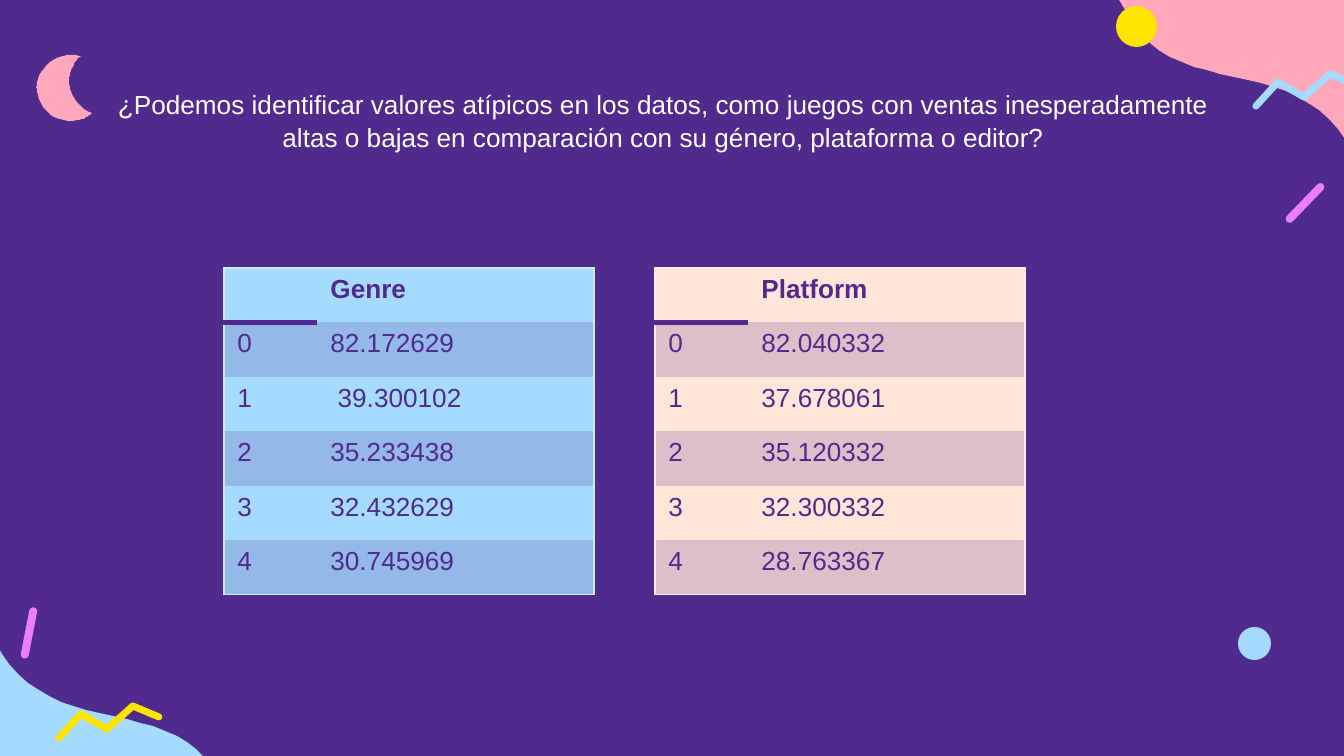
from lxml.etree import SubElement
from pptx import Presentation
from pptx.dml.color import RGBColor
from pptx.enum.shapes import MSO_SHAPE
from pptx.enum.text import MSO_ANCHOR, PP_ALIGN
from pptx.oxml import parse_xml
from pptx.oxml.ns import nsdecls, qn
from pptx.util import Emu, Pt

SCALE = 914400 / 134.4  # EMU per px
PURPLE = RGBColor(0x51, 0x2A, 0x8E)
PINK = RGBColor(0xFF, 0xA7, 0xBB)
BLUE = RGBColor(0xA5, 0xDB, 0xFF)
BLUE_BAND = RGBColor(0x94, 0xB8, 0xE8)
BLUE_EDGE = RGBColor(0xD2, 0xE9, 0xFA)
PEACH = RGBColor(0xFF, 0xE6, 0xD8)
PEACH_BAND = RGBColor(0xDC, 0xC0, 0xC9)
PEACH_EDGE = RGBColor(0xF9, 0xEF, 0xE7)
YELLOW = RGBColor(0xFF, 0xE4, 0x00)
VIOLET = RGBColor(0xEB, 0x7D, 0xFF)
WHITE = RGBColor(0xFF, 0xFF, 0xFF)
NO_GRID_STYLE = "{2D5ABB26-0587-4C30-8999-92F81FD0307C}"
CURVE_STEPS = 12


def px(*lengths):
    return [Emu(round(length * SCALE)) for length in lengths]


def write(frame, text, color, bold=False, align=PP_ALIGN.LEFT, spacing=None):
    para = frame.paragraphs[0]
    para.alignment = align
    para.line_spacing = spacing
    span = para.add_run()
    span.text = text
    span.font.name = "Arial"
    span.font.size = Pt(14)
    span.font.bold = bold
    span.font.color.rgb = color


deck = Presentation()
deck.slide_width, deck.slide_height = px(1344, 756)
slide = deck.slides.add_slide(deck.slide_layouts[6])
slide.background.fill.solid()
slide.background.fill.fore_color.rgb = PURPLE
shapes = slide.shapes

# Curved outlines: a start point, then Bezier segments of two controls and an end
corner = [(1438, 222),
          (1434, 280), (1407, 234), (1386, 214), (1364, 194), (1357, 130), (1308, 103),
          (1270, 75), (1198, 78), (1160, 51), (1122, 26), (1113, -31), (1082, -54),
          (1051, -77), (996, -75), (976, -87), (957, -99), (892, -121), (965, -129),
          (1039, -137), (1337, -192), (1417, -133), (1496, -75), (1443, 164), (1438, 222)]
opposite_corner = [(1347 - x, 793 - y) for x, y in corner]
moon = [(38, 79),
        (42, 69), (51, 58), (63, 56), (70, 54), (75, 55), (81, 56),
        (75, 60), (73, 67), (70, 73), (69, 78), (69, 83), (70, 89),
        (73, 99), (81, 109), (92, 113), (87, 117), (83, 120), (77, 120),
        (59, 124), (42, 113), (38, 95), (36, 90), (36, 85), (38, 79)]

for outline, color in ((corner, PINK), (opposite_corner, BLUE), (moon, PINK)):
    points = []
    for i in range(0, len(outline) - 1, 3):
        for step in range(1, CURVE_STEPS + 1):
            t = step / CURVE_STEPS
            weights = ((1 - t) ** 3, 3 * t * (1 - t) ** 2, 3 * t * t * (1 - t), t ** 3)
            points.append([sum(w * point[axis] for w, point in zip(weights, outline[i:i + 4]))
                           for axis in (0, 1)])
    builder = shapes.build_freeform(*outline[0], scale=SCALE)
    builder.add_line_segments(points, close=True)
    blob = builder.convert_to_shape()
    blob.shadow.inherit = False
    blob.fill.solid()
    blob.fill.fore_color.rgb = color
    blob.line.fill.background()

# Dots and tilted pills
for kind, left, top, width, height, turn, color in (
        (MSO_SHAPE.OVAL, 1116, 6, 41, 41, 0, YELLOW),
        (MSO_SHAPE.OVAL, 1238, 627, 33, 33, 0, BLUE),
        (MSO_SHAPE.ROUNDED_RECTANGLE, 25, 607, 8, 52, 11, VIOLET),
        (MSO_SHAPE.ROUNDED_RECTANGLE, 1301, 177, 8, 52, 44, VIOLET)):
    mark = shapes.add_shape(kind, *px(left, top, width, height))
    if kind == MSO_SHAPE.ROUNDED_RECTANGLE:
        mark.adjustments[0] = 0.5
    mark.rotation = turn
    mark.shadow.inherit = False
    mark.fill.solid()
    mark.fill.fore_color.rgb = color
    mark.line.fill.background()

# Zigzags
for left, bottom, color in ((59, 738, YELLOW), (1256, 106, BLUE)):
    builder = shapes.build_freeform(left, bottom, scale=SCALE)
    builder.add_line_segments([(left + x, bottom + y) for x, y in
                               ((22, -24), (48, -9), (74, -32), (100, -21))], close=False)
    zigzag = builder.convert_to_shape()
    zigzag.shadow.inherit = False
    zigzag.fill.background()
    zigzag.line.color.rgb = color
    zigzag.line.width = px(7)[0]
    stroke = zigzag.element.spPr.find(qn("a:ln"))
    stroke.set("cap", "rnd")
    SubElement(stroke, qn("a:round"))

# Question
box = shapes.add_textbox(*px(97, 77, 1133, 85))
box.text_frame.word_wrap = True
box.text_frame.vertical_anchor = MSO_ANCHOR.MIDDLE
write(box.text_frame,
      "¿Podemos identificar valores atípicos en los datos, como juegos con ventas "
      "inesperadamente altas o bajas en comparación con su género, plataforma o editor?",
      WHITE, align=PP_ALIGN.CENTER, spacing=1.07)

# Tables
genre = ["82.172629", " 39.300102", "35.233438", "32.432629", "30.745969"]
platform = ["82.040332", "37.678061", "35.120332", "32.300332", "28.763367"]
for left, heading, values, plain, band, edge in (
        (224, "Genre", genre, BLUE, BLUE_BAND, BLUE_EDGE),
        (655, "Platform", platform, PEACH, PEACH_BAND, PEACH_EDGE)):
    rows = [("", heading)] + [(str(i), value) for i, value in enumerate(values)]
    frame = shapes.add_table(len(rows), 2, *px(left, 268, 370, 327))
    table = frame.table
    frame.element.find(".//" + qn("a:tableStyleId")).text = NO_GRID_STYLE
    table.columns[0].width, table.columns[1].width = px(93, 277)
    for r, row in enumerate(rows):
        for c, text in enumerate(row):
            cell = table.cell(r, c)
            cell.fill.solid()
            cell.fill.fore_color.rgb = band if r % 2 else plain
            if text:
                write(cell.text_frame, text, PURPLE, bold=r == 0)
            borders = [("lnL" if c == 0 else "lnR", edge, 0.75)]
            if r == 0:
                borders.append(("lnT", edge, 0.75))
            if r == 0 and c == 0:
                borders.append(("lnB", PURPLE, 3))
            if r == len(rows) - 1:
                borders.append(("lnB", edge, 0.75))
            properties = cell.fill._xPr
            for i, (side, color, width) in enumerate(borders):
                properties.insert(i, parse_xml(
                    f'<a:{side} {nsdecls("a")} w="{Pt(width)}"><a:solidFill>'
                    f'<a:srgbClr val="{color}"/></a:solidFill></a:{side}>'))

deck.save("out.pptx")
